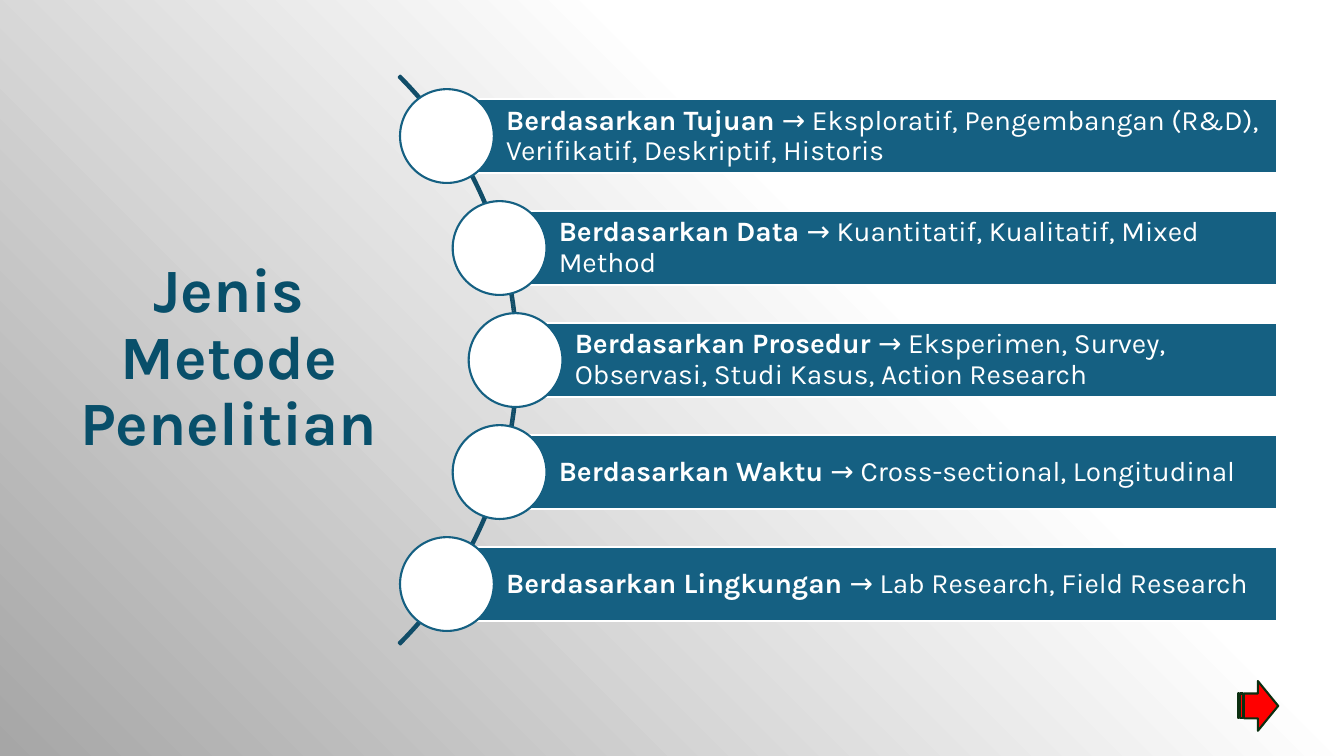
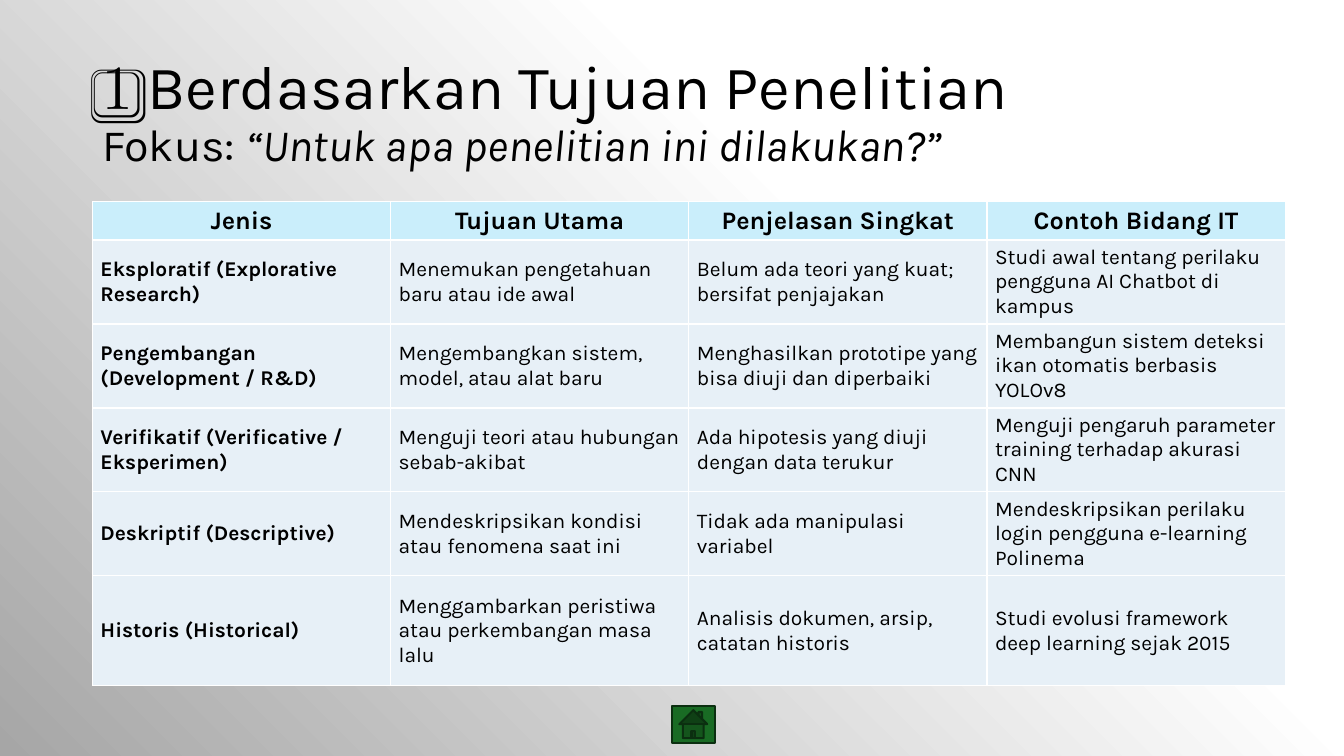
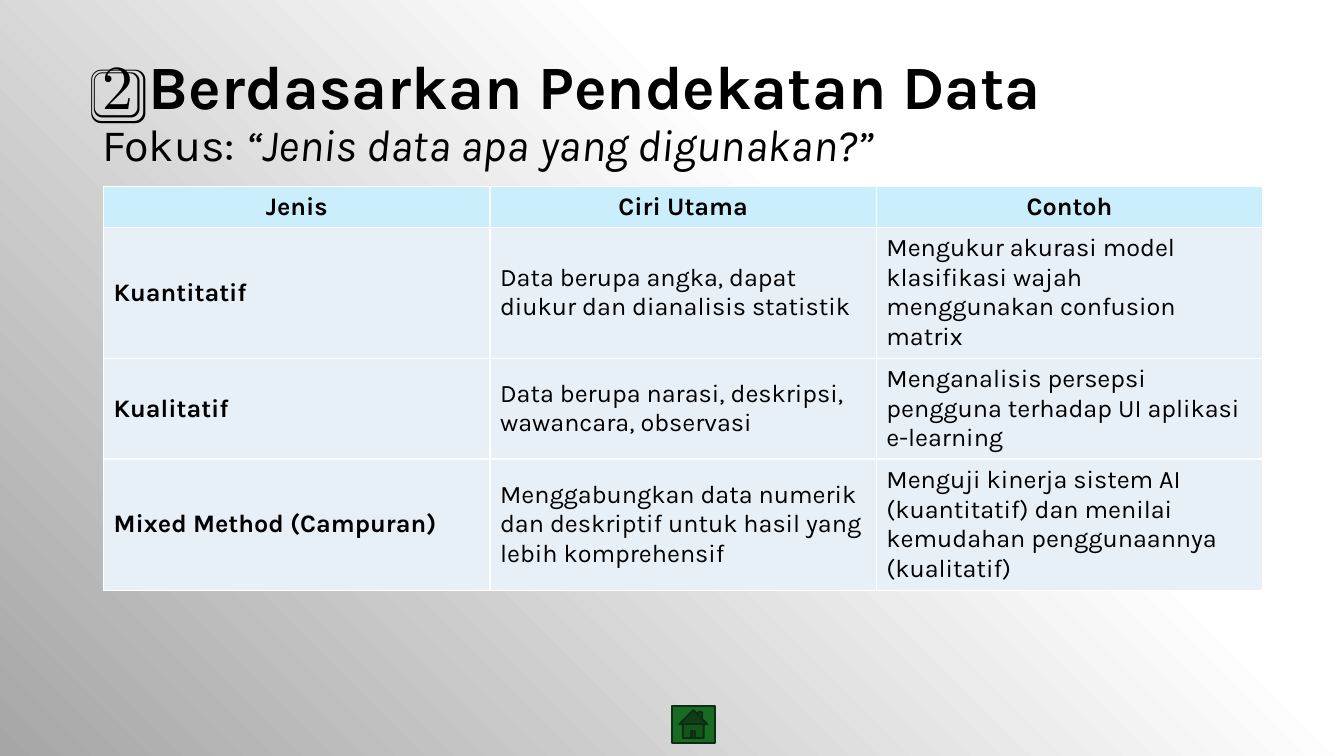
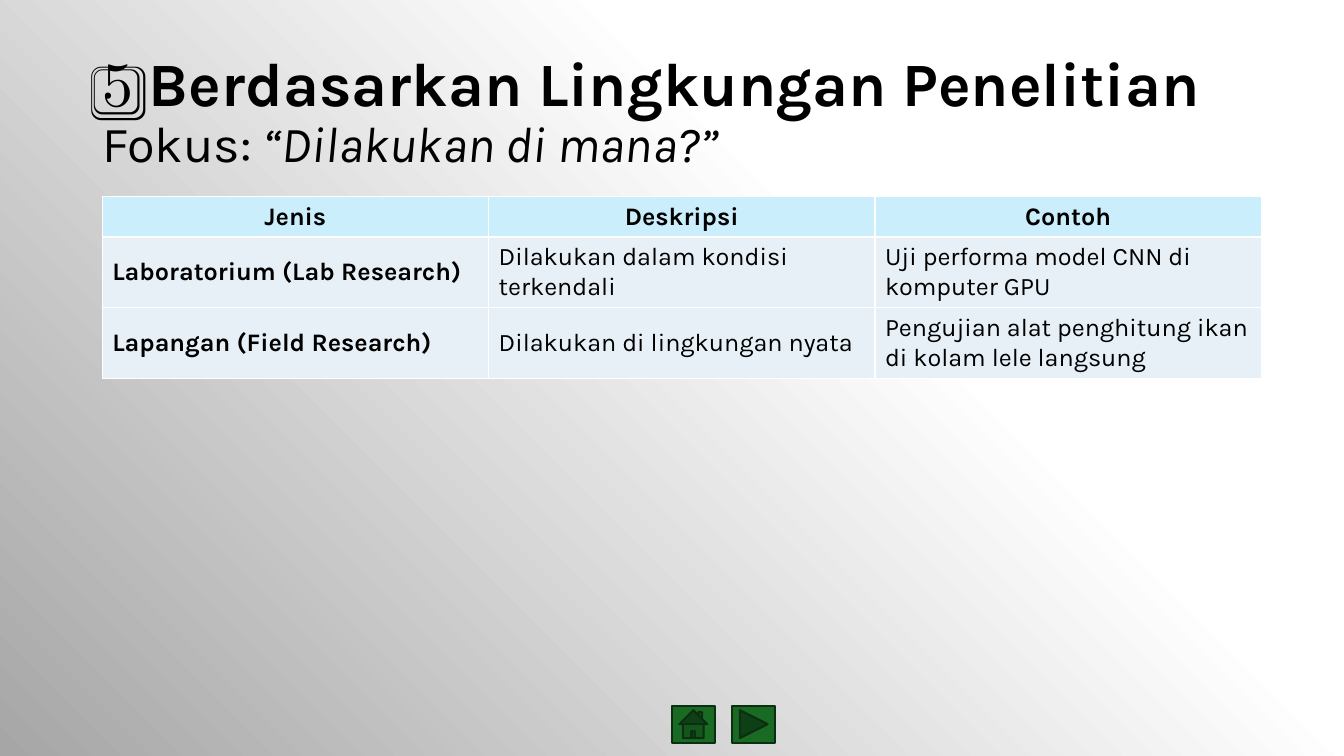
"""Build four slides on the types of research methods."""
from dataclasses import dataclass
from math import sqrt

from pptx import Presentation
from pptx.dml.color import RGBColor
from pptx.enum.shapes import MSO_SHAPE
from pptx.enum.text import MSO_ANCHOR, PP_ALIGN
from pptx.oxml import parse_xml
from pptx.oxml.ns import nsdecls, qn
from pptx.util import Pt


@dataclass(frozen=True)
class Theme:
    font: str = "Karla"
    black: str = "000000"
    white: str = "FFFFFF"
    grey: str = "A6A6A6"
    title: str = "084F6A"
    bar: str = "156082"
    arc: str = "114D68"
    header: str = "CAEEFB"
    body: str = "E7F0F7"
    red: str = "FF0000"
    button: str = "196B24"
    button_line: str = "0B2F10"
    title_size: float = 44
    text_size: float = 20
    cell_size: float = 18
    line: float = 1.5


T = Theme()
TITLE_BOX = (66, 29, 828, 104)
BUTTON_TOP, BUTTON_W, BUTTON_H, BUTTON_PITCH = 504, 30.5, 26.5, 43.2
FIRST_BUTTON_LEFT = 480


def set_background(master):
    """Give the master a grey-to-white gradient aimed at the top right."""
    master.background.fill.solid()
    stops = "".join(
        f'<a:gs pos="{pos}"><a:srgbClr val="{color}"/></a:gs>'
        for pos, color in ((0, T.white), (35000, T.white), (100000, T.grey))
    )
    bg = master.element.find(".//" + qn("p:bgPr"))
    bg.replace(bg[0], parse_xml(
        f'<a:gradFill {nsdecls("a")} rotWithShape="1"><a:gsLst>{stops}</a:gsLst>'
        '<a:path path="circle"><a:fillToRect l="100000" b="100000"/></a:path></a:gradFill>'
    ))


def add_run(p, text, size=T.text_size, color=T.black, bold=False, italic=False):
    """Add a formatted run to a paragraph."""
    r = p.add_run()
    r.text = text
    r.font.name = T.font
    r.font.size = Pt(size)
    r.font.color.rgb = RGBColor.from_string(color)
    r.font.bold = bold
    r.font.italic = italic


def add_box(slide, kind, box, fill=None, line=T.white):
    """Add a preset shape without shadow."""
    s = slide.shapes.add_shape(kind, *map(Pt, box))
    s.shadow.inherit = False
    if fill:
        s.fill.solid()
        s.fill.fore_color.rgb = RGBColor.from_string(fill)
    else:
        s.fill.background()
    s.line.color.rgb = RGBColor.from_string(line)
    s.line.width = Pt(T.line)
    return s


def add_title(slide, box, align=PP_ALIGN.LEFT):
    """Add a middle-anchored title box and return its paragraph."""
    tf = slide.shapes.add_textbox(*map(Pt, box)).text_frame
    tf.word_wrap = True
    tf.vertical_anchor = MSO_ANCHOR.MIDDLE
    p = tf.paragraphs[0]
    p.alignment = align
    p.line_spacing = 0.9
    return p


def add_focus_title(slide, box, heading, focus, bold=True, focus_size=32):
    """Add a heading with its focus question on the next line."""
    p = add_title(slide, box)
    add_run(p, heading, size=T.title_size, bold=bold)
    p.add_line_break()
    add_run(p, "Fokus: ", size=focus_size)
    add_run(p, focus, size=focus_size, italic=True)


def add_buttons(slide, *kinds):
    """Add a row of navigation buttons at the foot of the slide."""
    for i, kind in enumerate(kinds):
        box = (FIRST_BUTTON_LEFT + i * BUTTON_PITCH, BUTTON_TOP, BUTTON_W, BUTTON_H)
        add_box(slide, kind, box, T.button, T.button_line)


def format_cell(cell, text, inset, fill, align, size, bold):
    """Fill one table cell and give it white borders."""
    cell.margin_left = cell.margin_right = Pt(inset)
    cell.margin_top = cell.margin_bottom = Pt(inset / 2)
    cell.vertical_anchor = MSO_ANCHOR.MIDDLE
    cell.fill.solid()
    cell.fill.fore_color.rgb = RGBColor.from_string(fill)
    p = cell.text_frame.paragraphs[0]
    p.alignment = align
    add_run(p, text, size=size, bold=bold)
    tc_pr = cell._tc.get_or_add_tcPr()
    for i, side in enumerate("LRTB"):
        tc_pr.insert(i, parse_xml(
            f'<a:ln{side} {nsdecls("a")} w="{Pt(1)}"><a:solidFill>'
            f'<a:srgbClr val="{T.white}"/></a:solidFill></a:ln{side}>'
        ))


def add_grid(slide, left, top, width, heights, rows, size=T.cell_size, inset=7.2):
    """Add a table with a header row and a bold first column."""
    cols = len(rows[0])
    table = slide.shapes.add_table(
        len(rows), cols, Pt(left), Pt(top), Pt(width), Pt(sum(heights))
    ).table
    table.first_row = table.horz_banding = False
    for col in table.columns:
        col.width = Pt(width / cols)
    for i, (height, texts) in enumerate(zip(heights, rows)):
        table.rows[i].height = Pt(height)
        head = i == 0
        for j, text in enumerate(texts):
            format_cell(
                table.cell(i, j), text, inset,
                fill=T.header if head else T.body,
                align=PP_ALIGN.CENTER if head else PP_ALIGN.LEFT,
                size=T.cell_size if head else size,
                bold=head or j == 0,
            )


def add_arc_list(slide, center_x, center_y, radius, right, items):
    """Place labelled bars and circles along an arc around a centre."""
    pitch, bar_h, dot = 80, 53.3, 67
    arc_r = radius + 1.8
    arc = add_box(
        slide, MSO_SHAPE.BLOCK_ARC,
        (center_x - arc_r, center_y - arc_r, 2 * arc_r, 2 * arc_r), line=T.arc,
    )
    for i, value in enumerate((189, 27, 0.003)):
        arc.adjustments[i] = value
    for i, (label, text) in enumerate(items):
        dy = (i - (len(items) - 1) / 2) * pitch
        x, y = center_x + sqrt(radius ** 2 - dy ** 2), center_y + dy
        bar = add_box(slide, MSO_SHAPE.RECTANGLE, (x, y - bar_h / 2, right - x, bar_h), T.bar)
        tf = bar.text_frame
        tf.word_wrap = True
        tf.vertical_anchor = MSO_ANCHOR.MIDDLE
        tf.margin_left = Pt(42.3)
        tf.margin_right = tf.margin_top = tf.margin_bottom = Pt(4)
        p = tf.paragraphs[0]
        p.alignment = PP_ALIGN.LEFT
        p.line_spacing = 0.9
        add_run(p, f"Berdasarkan {label} ", color=T.white, bold=True)
        add_run(p, f"→ {text}", color=T.white)
        add_box(slide, MSO_SHAPE.OVAL, (x - dot / 2, y - dot / 2, dot, dot), T.white, T.bar)


def build_overview(slide):
    """Build the overview of method types."""
    p = add_title(slide, (27, 204.5, 273, 104), PP_ALIGN.CENTER)
    add_run(p, "Jenis Metode Penelitian", size=T.title_size, color=T.title, bold=True)
    add_arc_list(slide, 82.8, 257.2, 285.5, 912, [
        ("Tujuan", "Eksploratif, Pengembangan (R&D), Verifikatif, Deskriptif, Historis"),
        ("Data", "Kuantitatif, Kualitatif, Mixed Method"),
        ("Prosedur", "Eksperimen, Survey, Observasi, Studi Kasus, Action Research"),
        ("Waktu", "Cross-sectional, Longitudinal"),
        ("Lingkungan", "Lab Research, Field Research"),
    ])
    add_box(slide, MSO_SHAPE.STRIPED_RIGHT_ARROW, (884, 486.5, 29, 35.5), T.red, T.button_line)


def build_purpose(slide):
    """Build the slide on research purpose."""
    add_focus_title(slide, TITLE_BOX, "1️⃣ Berdasarkan Tujuan Penelitian",
                    "“Untuk apa penelitian ini dilakukan?”", bold=False)
    add_grid(slide, 66, 144, 852, (27, 60, 60, 60, 60, 78.5), [
        ("Jenis", "Tujuan Utama", "Penjelasan Singkat", "Contoh Bidang IT"),
        ("Eksploratif (Explorative Research)", "Menemukan pengetahuan baru atau ide awal",
         "Belum ada teori yang kuat; bersifat penjajakan",
         "Studi awal tentang perilaku pengguna AI Chatbot di kampus"),
        ("Pengembangan (Development / R&D)", "Mengembangkan sistem, model, atau alat baru",
         "Menghasilkan prototipe yang bisa diuji dan diperbaiki",
         "Membangun sistem deteksi ikan otomatis berbasis YOLOv8"),
        ("Verifikatif (Verificative / Eksperimen)", "Menguji teori atau hubungan sebab-akibat",
         "Ada hipotesis yang diuji dengan data terukur",
         "Menguji pengaruh parameter training terhadap akurasi CNN"),
        ("Deskriptif (Descriptive)", "Mendeskripsikan kondisi atau fenomena saat ini",
         "Tidak ada manipulasi variabel",
         "Mendeskripsikan perilaku login pengguna e-learning Polinema"),
        ("Historis (Historical)", "Menggambarkan peristiwa atau perkembangan masa lalu",
         "Analisis dokumen, arsip, catatan historis",
         "Studi evolusi framework deep learning sejak 2015"),
    ], size=15, inset=5.8)
    add_buttons(slide, MSO_SHAPE.ACTION_BUTTON_HOME)


def build_data(slide):
    """Build the slide on the data approach."""
    add_focus_title(slide, TITLE_BOX, "2️⃣ Berdasarkan Pendekatan Data",
                    "“Jenis data apa yang digunakan?”")
    add_grid(slide, 74, 133.4, 828, (28, 91, 70, 91), [
        ("Jenis", "Ciri Utama", "Contoh"),
        ("Kuantitatif", "Data berupa angka, dapat diukur dan dianalisis statistik",
         "Mengukur akurasi model klasifikasi wajah menggunakan confusion matrix"),
        ("Kualitatif", "Data berupa narasi, deskripsi, wawancara, observasi",
         "Menganalisis persepsi pengguna terhadap UI aplikasi e-learning"),
        ("Mixed Method (Campuran)",
         "Menggabungkan data numerik dan deskriptif untuk hasil yang lebih komprehensif",
         "Menguji kinerja sistem AI (kuantitatif) dan menilai kemudahan penggunaannya (kualitatif)"),
    ])
    add_buttons(slide, MSO_SHAPE.ACTION_BUTTON_HOME)


def build_setting(slide):
    """Build the slide on the research setting."""
    add_focus_title(slide, TITLE_BOX, "5️⃣ Berdasarkan Lingkungan Penelitian",
                    "“Dilakukan di mana?”", focus_size=36)
    add_grid(slide, 73, 140.4, 828, (28, 49, 49), [
        ("Jenis", "Deskripsi", "Contoh"),
        ("Laboratorium (Lab Research)", "Dilakukan dalam kondisi terkendali",
         "Uji performa model CNN di komputer GPU"),
        ("Lapangan (Field Research)", "Dilakukan di lingkungan nyata",
         "Pengujian alat penghitung ikan di kolam lele langsung"),
    ])
    add_buttons(slide, MSO_SHAPE.ACTION_BUTTON_HOME, MSO_SHAPE.ACTION_BUTTON_FORWARD_OR_NEXT)


def main():
    """Create and save the presentation."""
    prs = Presentation()
    prs.slide_width, prs.slide_height = Pt(960), Pt(540)
    set_background(prs.slide_master)
    for build in (build_overview, build_purpose, build_data, build_setting):
        build(prs.slides.add_slide(prs.slide_layouts[6]))
    prs.save("out.pptx")


if __name__ == "__main__":
    main()
